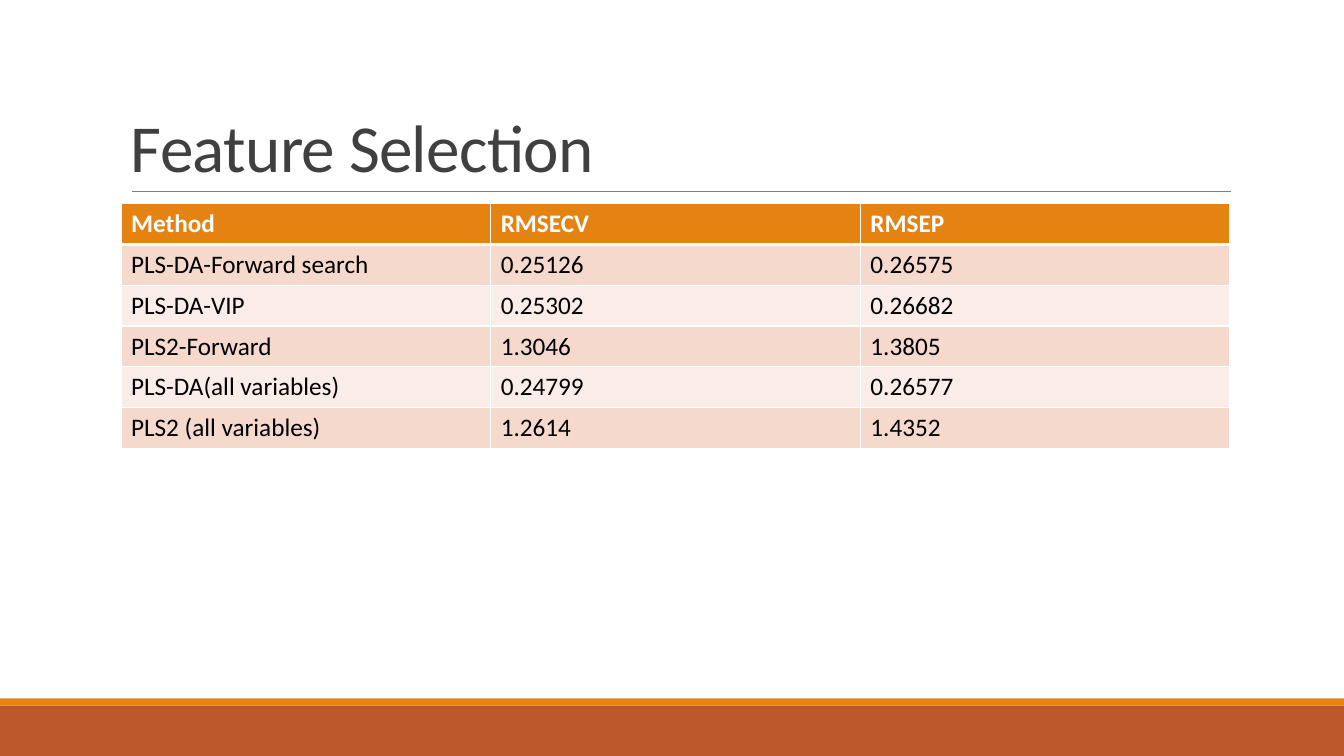
from lxml.etree import SubElement
from pptx import Presentation
from pptx.dml.color import RGBColor
from pptx.enum.shapes import MSO_CONNECTOR as Connector, MSO_SHAPE as Shape
from pptx.enum.text import MSO_ANCHOR as Anchor
from pptx.oxml.ns import qn
from pptx.util import Inches, Pt

COLORS = {
    "rust": "BD582C",
    "orange": "E48312",
    "rule": "808080",
    "title": "404040",
    "white": "FFFFFF",
    "black": "000000",
    "dark_band": "F5D9CC",
    "light_band": "FAEDE7",
}

RESULTS = [
    ("Method", "RMSECV", "RMSEP"),
    ("PLS-DA-Forward search", "0.25126", "0.26575"),
    ("PLS-DA-VIP", "0.25302", "0.26682"),
    ("PLS2-Forward", "1.3046", "1.3805"),
    ("PLS-DA(all variables)", "0.24799", "0.26577"),
    ("PLS2 (all variables)", "1.2614", "1.4352"),
]


class SlideBuilder:
    """Draws styled elements on one slide."""

    font = "Calibri"

    def __init__(self, slide):
        self.slide = slide

    def color(self, name):
        return RGBColor.from_string(COLORS[name])

    def style(self, para, size, color, bold=False):
        for span in para.runs:
            span.font.name = self.font
            span.font.size = Pt(size)
            span.font.bold = bold
            span.font.color.rgb = self.color(color)

    def bar(self, left, top, width, height, color):
        bar = self.slide.shapes.add_shape(
            Shape.RECTANGLE, Inches(left), Inches(top), Inches(width), Inches(height))
        bar.shadow.inherit = False
        bar.fill.solid()
        bar.fill.fore_color.rgb = self.color(color)
        bar.line.fill.background()

    def rule(self, left, right, top, color, weight):
        rule = self.slide.shapes.add_connector(
            Connector.STRAIGHT, Inches(left), Inches(top), Inches(right), Inches(top))
        rule.line.color.rgb = self.color(color)
        rule.line.width = Pt(weight)
        SubElement(rule._element.spPr, qn("a:effectLst"))

    def title(self, text, left, top, width, height):
        box = self.slide.shapes.add_textbox(
            Inches(left), Inches(top), Inches(width), Inches(height))
        frame = box.text_frame
        frame.word_wrap = True
        frame.vertical_anchor = Anchor.BOTTOM
        frame.text = text
        para = frame.paragraphs[0]
        para.line_spacing = 0.85
        self.style(para, 48, "title")
        for span in para.runs:
            span.font._element.set("spc", "-50")

    def borders(self, cell, top, bottom):
        properties = cell._tc.get_or_add_tcPr()
        for side, weight in (("L", 1), ("R", 1), ("T", top), ("B", bottom)):
            line = SubElement(properties, qn(f"a:ln{side}"), w=str(Pt(weight)))
            fill = SubElement(line, qn("a:solidFill"))
            SubElement(fill, qn("a:srgbClr"), val=COLORS["white"])

    def table(self, rows, left, top, width, height):
        table = self.slide.shapes.add_table(
            len(rows), len(rows[0]),
            Inches(left), Inches(top), Inches(width), Inches(height)).table
        for row_index, values in enumerate(rows):
            header = row_index == 0
            band = "dark_band" if row_index % 2 else "light_band"
            for column_index, value in enumerate(values):
                cell = table.cell(row_index, column_index)
                self.borders(cell, 3 if row_index == 1 else 1, 3 if header else 1)
                cell.fill.solid()
                cell.fill.fore_color.rgb = self.color("orange" if header else band)
                cell.text_frame.text = value
                self.style(cell.text_frame.paragraphs[0], 18,
                           "white" if header else "black", header)


def main():
    deck = Presentation()
    deck.slide_width = Inches(13.33)
    deck.slide_height = Inches(7.5)
    page = SlideBuilder(deck.slides.add_slide(deck.slide_layouts[6]))
    page.bar(0, 7, 13.33, 0.5, "rust")
    page.bar(0, 6.93, 13.33, 0.07, "orange")
    page.rule(1.31, 12.21, 1.9, "rule", 0.5)
    page.title("Feature Selection", 1.2, 0.31, 11, 1.59)
    page.table(RESULTS, 1.2, 2.02, 11, 2.43)
    deck.save("out.pptx")


if __name__ == "__main__":
    main()
